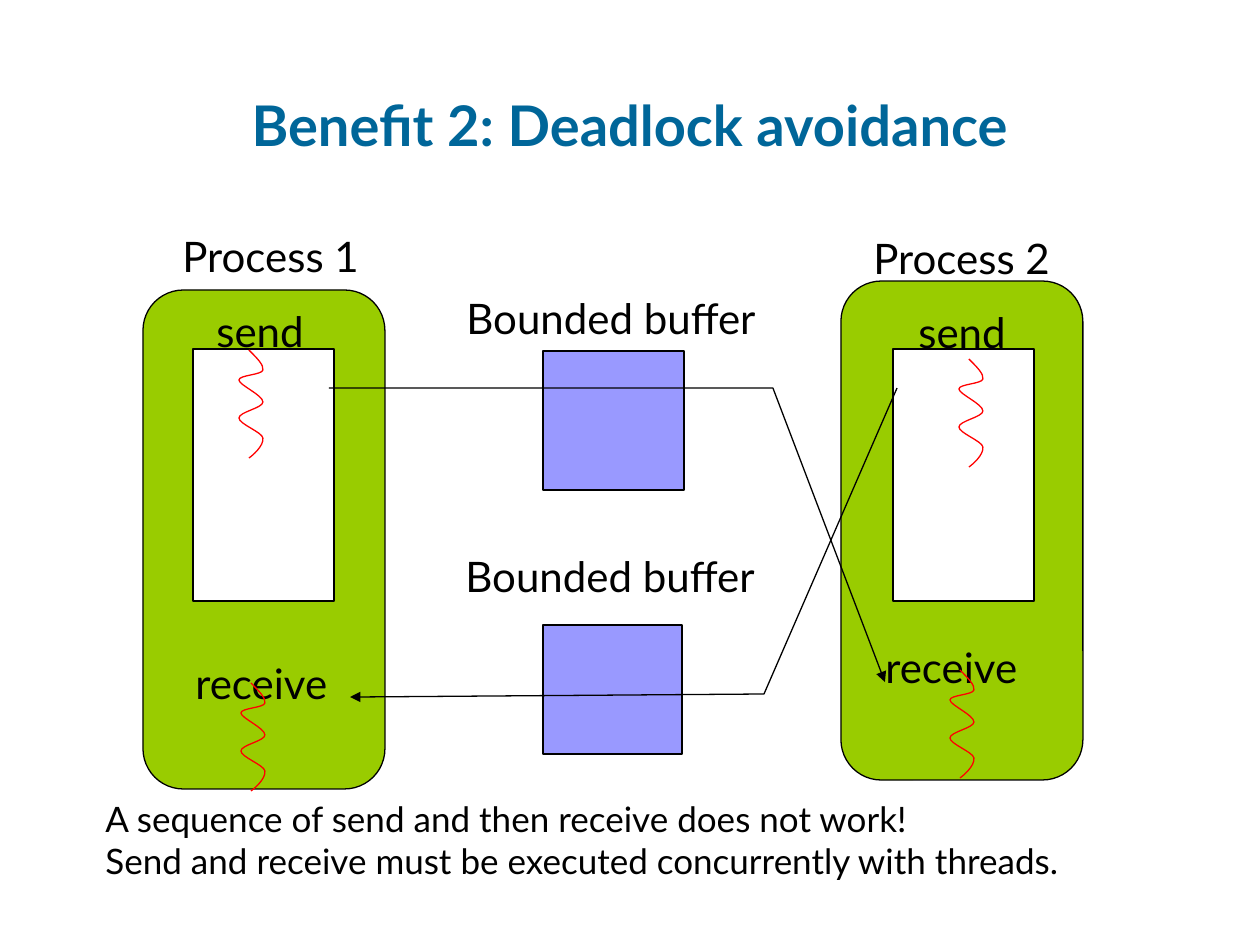
from lxml import etree
from pptx import Presentation
from pptx.dml.color import RGBColor
from pptx.enum.shapes import MSO_SHAPE
from pptx.enum.text import MSO_ANCHOR, MSO_AUTO_SIZE, PP_ALIGN
from pptx.oxml.ns import qn
from pptx.util import Pt

EMU_PER_PX = 914400 / 126
FONT = "Lato"
COLORS = {
    "title": "006699",
    "text": "000000",
    "outline": "000000",
    "process": "99CC00",
    "buffer": "9999FF",
    "memory": "FFFFFF",
    "thread": "FF0000",
}
# Bezier points of a thread, measured from its upper end, three per curve
THREAD_CURVE = [
    (8, 8), (15, 15), (14, 20),
    (13, 25), (-10, 25), (-10, 30),
    (-10, 35), (14, 45), (14, 52),
    (14, 58), (-10, 62), (-10, 68),
    (-10, 74), (13, 82), (14, 88),
    (15, 96), (3, 106), (0, 108),
]


def px(length):
    return round(length * EMU_PER_PX)


def color(name):
    return RGBColor.from_string(COLORS[name])


def set_outline(shape, name="outline"):
    shape.shadow.inherit = False
    shape.line.color.rgb = color(name)
    shape.line.width = Pt(0.75)


def add_text(slide, text, left, top, width, height, size=24, fill="text",
             bold=False, align=PP_ALIGN.LEFT, anchor=MSO_ANCHOR.TOP, wrap=False):
    box = slide.shapes.add_textbox(px(left), px(top), px(width), px(height))
    frame = box.text_frame
    frame.word_wrap = wrap
    frame.auto_size = MSO_AUTO_SIZE.NONE if wrap else MSO_AUTO_SIZE.SHAPE_TO_FIT_TEXT
    frame.vertical_anchor = anchor
    frame.text = text
    for paragraph in frame.paragraphs:
        paragraph.alignment = align
        font = paragraph.font
        font.name, font.size, font.bold = FONT, Pt(size), bold
        font.color.rgb = color(fill)


def add_block(slide, left, top, width, height, fill, preset=MSO_SHAPE.RECTANGLE):
    block = slide.shapes.add_shape(preset, px(left), px(top), px(width), px(height))
    block.fill.solid()
    block.fill.fore_color.rgb = color(fill)
    set_outline(block)


def add_open_path(slide, points, line):
    start, *rest = [(px(x), px(y)) for x, y in points]
    builder = slide.shapes.build_freeform(*start)
    builder.add_line_segments(rest, close=False)
    outline = builder.convert_to_shape()
    outline.fill.background()
    set_outline(outline, line)
    return outline


def add_message(slide, points):
    message = add_open_path(slide, points, "outline")
    line = message._element.spPr.find(qn("a:ln"))
    etree.SubElement(line, qn("a:tailEnd"), type="triangle")


def add_thread(slide, left, top):
    points = [(left + x, top + y) for x, y in [(0, 0)] + THREAD_CURVE]
    thread = add_open_path(slide, points, "thread")
    # Turn each three straight segments into one Bezier curve
    curve_path = thread._element.spPr.find(".//" + qn("a:path"))
    segments = curve_path.findall(qn("a:lnTo"))
    for first in range(0, len(segments), 3):
        curve = etree.SubElement(curve_path, qn("a:cubicBezTo"))
        for segment in segments[first:first + 3]:
            curve.append(segment[0])
            curve_path.remove(segment)


def main():
    deck = Presentation()
    deck.slide_width, deck.slide_height = px(1260), px(945)
    slide = deck.slides.add_slide(deck.slide_layouts[6])

    # Title
    add_text(slide, "Benefit 2: Deadlock avoidance", 63, 84, 1134, 80, size=32,
             fill="title", bold=True, align=PP_ALIGN.CENTER,
             anchor=MSO_ANCHOR.BOTTOM, wrap=True)

    # Processes and the buffers between them
    for left, top in [(143, 290), (841, 281)]:
        add_block(slide, left, top, 242, 499, "process", MSO_SHAPE.ROUNDED_RECTANGLE)
    add_block(slide, 543, 351, 141, 139, "buffer")
    add_block(slide, 543, 625, 139, 129, "buffer")
    for left in (193, 893):
        add_block(slide, left, 349, 141, 252, "memory")

    # Labels
    for text, left, top, width in [
        ("Process 1", 170, 224, 212),
        ("Process 2", 861, 226, 212),
        ("Bounded buffer", 454, 286, 338),
        ("Bounded buffer", 453, 544, 338),
        ("send", 204, 299, 121),
        ("receive", 183, 651, 165),
        ("send", 906, 300, 121),
        ("receive", 873, 635, 165),
    ]:
        add_text(slide, text, left, top, width, 63)

    # Conclusion
    add_text(slide, "A sequence of send and then receive does not work!\n"
             "Send and receive must be executed concurrently with threads.",
             93, 791, 1052, 97, size=20)

    # Messages from each send to the other receive
    add_message(slide, [(329, 388), (773, 388), (885, 682)])
    add_message(slide, [(897, 388), (764, 694), (350, 697)])

    # Threads
    for left, top in [(249, 350), (251, 683), (969, 359), (960, 670)]:
        add_thread(slide, left, top)

    deck.save("out.pptx")


if __name__ == "__main__":
    main()
